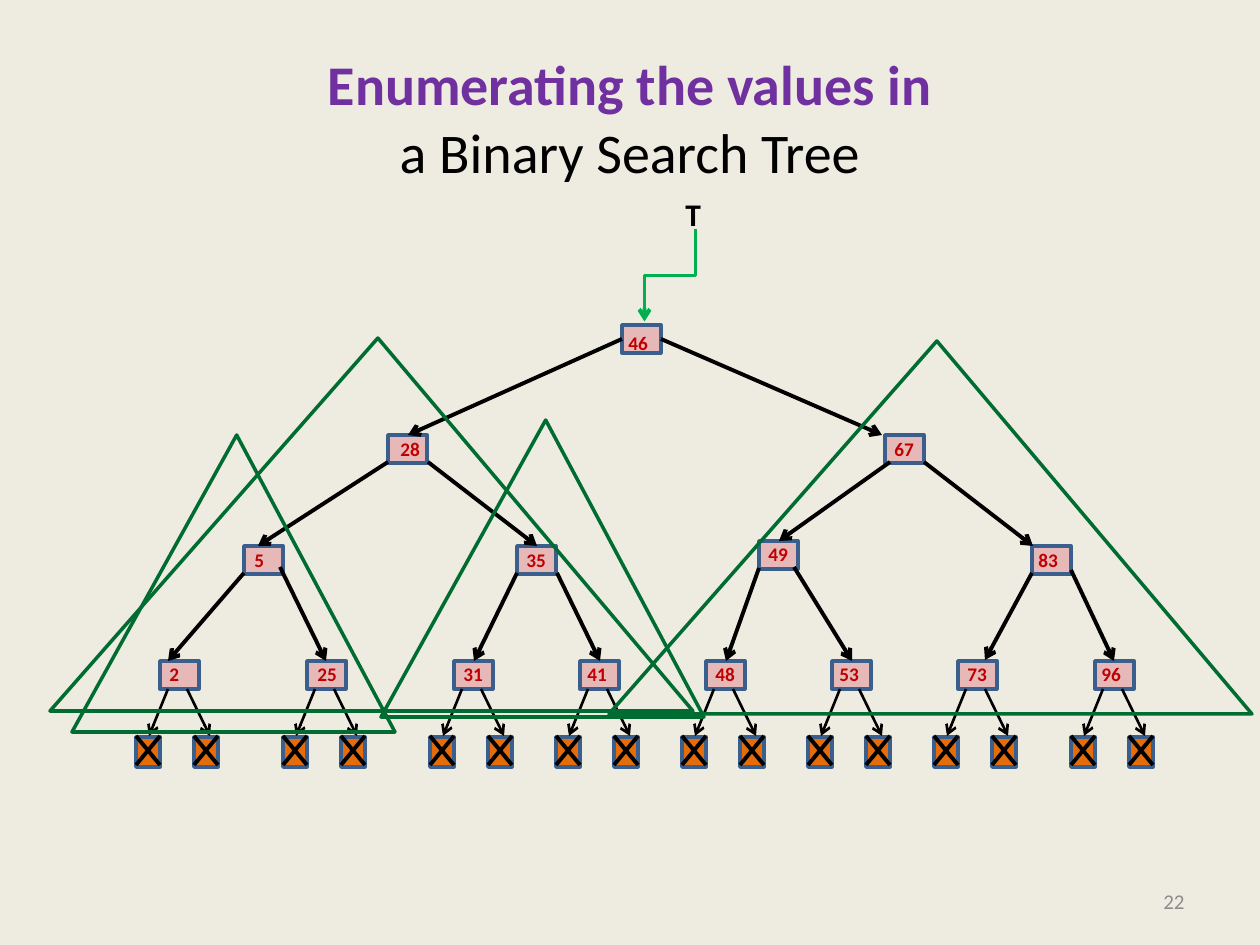
"""Build a slide showing a binary search tree with its subtrees outlined."""
from typing import Any, NamedTuple

from lxml import etree
from pptx import Presentation
from pptx.dml.color import RGBColor
from pptx.enum.shapes import MSO_CONNECTOR, MSO_SHAPE
from pptx.enum.text import MSO_ANCHOR, MSO_AUTO_SIZE, PP_ALIGN
from pptx.oxml.ns import qn
from pptx.util import Emu, Pt

STRAIGHT, ELBOW = MSO_CONNECTOR.STRAIGHT, MSO_CONNECTOR.ELBOW
RECT, PEAK = MSO_SHAPE.RECTANGLE, MSO_SHAPE.ISOSCELES_TRIANGLE
LEFT, MID, RIGHT = PP_ALIGN.LEFT, PP_ALIGN.CENTER, PP_ALIGN.RIGHT
TOP, CENTER = MSO_ANCHOR.TOP, MSO_ANCHOR.MIDDLE
GROW = MSO_AUTO_SIZE.SHAPE_TO_FIT_TEXT

CREAM = RGBColor(0xEE, 0xEC, 0xE1)
PURPLE = RGBColor(0x70, 0x30, 0xA0)
BLACK = RGBColor(0, 0, 0)
GRAY = RGBColor(0x8C, 0x8C, 0x8C)
PINK = RGBColor(0xE6, 0xB9, 0xB8)
BLUE = RGBColor(0x3A, 0x5F, 0x8C)
ORANGE = RGBColor(0xE4, 0x6C, 0x0A)
RED = RGBColor(0xC0, 0, 0)
GREEN = RGBColor(0, 0xB0, 0x50)
PINE = RGBColor(0, 0x6C, 0x31)

SCALE = 914400 / 126
NODE_W, NODE_H = 39, 28
NULL_W, NULL_H, NULL_Y = 24, 30, 737
LEAF_Y = 661


class Box(NamedTuple):
    x: int
    y: int
    w: int
    h: int


class Node(NamedTuple):
    key: str
    x: int
    y: int
    dx: int
    dy: int


class Edge(NamedTuple):
    x1: int
    y1: int
    x2: int
    y2: int


class Run(NamedTuple):
    text: str
    size: int
    color: RGBColor
    bold: bool = False


INNER = [
    Node("46", 622, 325, -6, 0), Node("67", 885, 435, -3, -4),
    Node("5", 244, 546, -2, -4), Node("35", 517, 546, -3, -4),
    Node("49", 759, 541, -3, -5), Node("83", 1032, 546, -6, -4),
    Node("28", 388, 435, 0, -4),
]
LEAVES = [
    Node(key, x, LEAF_Y, dx, -5)
    for key, x, dx in [
        ("2", 160, -3), ("25", 307, -2), ("31", 454, -3), ("41", 580, -5),
        ("48", 706, -3), ("53", 832, -5), ("73", 958, -3), ("96", 1095, -6),
    ]
]
EDGES = [
    Edge(622, 339, 408, 435), Edge(388, 462, 258, 546),
    Edge(244, 573, 168, 661), Edge(517, 573, 474, 661),
    Edge(759, 568, 726, 661), Edge(1032, 573, 985, 660),
    Edge(890, 462, 779, 541), Edge(428, 462, 537, 546),
    Edge(924, 462, 1033, 546), Edge(280, 567, 326, 661),
    Edge(557, 573, 600, 661), Edge(794, 567, 852, 661),
    Edge(1071, 570, 1114, 661), Edge(661, 339, 882, 435),
]
PEAKS = [
    Box(50, 338, 643, 373), Box(609, 341, 643, 373),
    Box(72, 435, 323, 297), Box(381, 420, 323, 297),
]


def px(n: int) -> Emu:
    """Turn px into EMU."""
    return Emu(round(n * SCALE))


def put_text(shapes: Any, box: Box, lines: list[Run], align: Any = LEFT,
             anchor: Any = TOP, wrap: bool = False) -> None:
    """Add a text box, one run to a line."""
    frame = shapes.add_textbox(*map(px, box)).text_frame
    frame.word_wrap = wrap
    if not wrap:
        frame.auto_size = GROW
    frame.vertical_anchor = anchor
    para = frame.paragraphs[0]
    para.alignment = align
    for i, item in enumerate(lines):
        if i:
            para.add_line_break()
        run = para.add_run()
        run.text = item.text
        font = run.font
        font.name, font.size, font.bold = "Calibri", Pt(item.size), item.bold
        font.color.rgb = item.color


def put_shape(shapes: Any, kind: Any, box: Box, line: RGBColor,
              fill: RGBColor | None = None) -> Any:
    """Add an outlined shape, filled when a fill is given."""
    shape = shapes.add_shape(kind, *map(px, box))
    shape.shadow.inherit = False
    if fill is None:
        shape.fill.background()
    else:
        shape.fill.solid()
        shape.fill.fore_color.rgb = fill
    shape.line.color.rgb = line
    shape.line.width = Pt(2)
    return shape


def put_line(shapes: Any, edge: Edge, width: float = 2.25, arrow: bool = True,
             color: RGBColor = BLACK, kind: Any = STRAIGHT) -> Any:
    """Add a connector, with an arrowhead at its end by default."""
    link = shapes.add_connector(kind, *map(px, edge))
    link.line.color.rgb = color
    link.line.width = Pt(width)
    props = link._element.spPr
    if arrow:
        etree.SubElement(props.find(qn("a:ln")), qn("a:tailEnd"), type="arrow")
    etree.SubElement(props, qn("a:effectLst"))
    return link


def put_node(shapes: Any, node: Node) -> None:
    """Add the box of a node."""
    put_shape(shapes, RECT, Box(node.x, node.y, NODE_W, NODE_H), BLUE, PINK)


def put_leaf(shapes: Any, leaf: Node) -> None:
    """Add a leaf with its two crossed null links as a group."""
    group = shapes.add_group_shape().shapes
    put_node(group, leaf)
    base, top = leaf.y + NODE_H, NULL_Y - 1
    for shift, start, end in [(-24, 8, -11), (34, 27, 50)]:
        x = leaf.x + shift
        far, low = x + NULL_W, top + 29
        put_shape(group, RECT, Box(x, NULL_Y, NULL_W, NULL_H), BLUE, ORANGE)
        put_line(group, Edge(far, top, x, low), arrow=False)
        put_line(group, Edge(x, top, far, low), arrow=False)
        put_line(group, Edge(leaf.x + start, base, leaf.x + end, top), 1.5)


def put_key(shapes: Any, node: Node) -> None:
    """Add the key of a node."""
    width = 45 if len(node.key) > 1 else 35
    box = Box(node.x + node.dx, node.y + node.dy, width, 37)
    put_text(shapes, box, [Run(node.key, 11, RED, True)])


def main() -> None:
    """Build and save the slide."""
    deck = Presentation()
    deck.slide_width, deck.slide_height = px(1260), px(945)
    slide = deck.slides.add_slide(deck.slide_layouts[6])
    slide.background.fill.solid()
    slide.background.fill.fore_color.rgb = CREAM
    shapes = slide.shapes
    title = [Run("Enumerating the values in", 32, PURPLE, True),
             Run("a Binary Search Tree", 32, BLACK)]
    put_text(shapes, Box(63, 38, 1134, 158), title, MID, CENTER, True)
    put_text(shapes, Box(903, 876, 294, 50), [Run("22", 12, GRAY)],
             RIGHT, CENTER, True)
    for node in INNER:
        put_node(shapes, node)
    for leaf in LEAVES:
        put_leaf(shapes, leaf)
    for edge in EDGES:
        put_line(shapes, edge)
    root = put_line(shapes, Edge(624, 250, 716, 301), color=GREEN, kind=ELBOW)
    root._element.spPr.find(qn("a:xfrm")).set("rot", "5400000")
    for node in INNER + LEAVES:
        put_key(shapes, node)
    put_text(shapes, Box(673, 189, 40, 50), [Run("T", 18, BLACK, True)])
    for box in PEAKS:
        put_shape(shapes, PEAK, box, PINE).adjustments[0] = 0.51
    deck.save("out.pptx")


if __name__ == "__main__":
    main()
